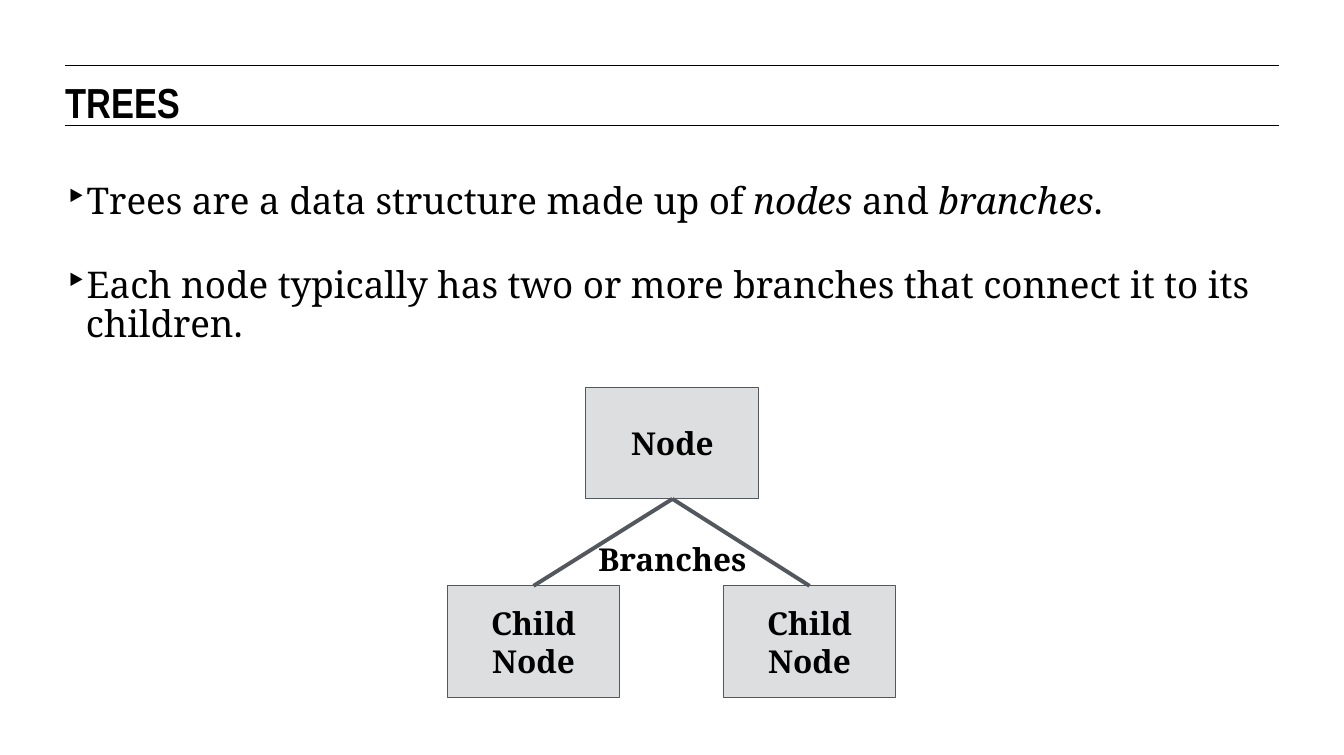
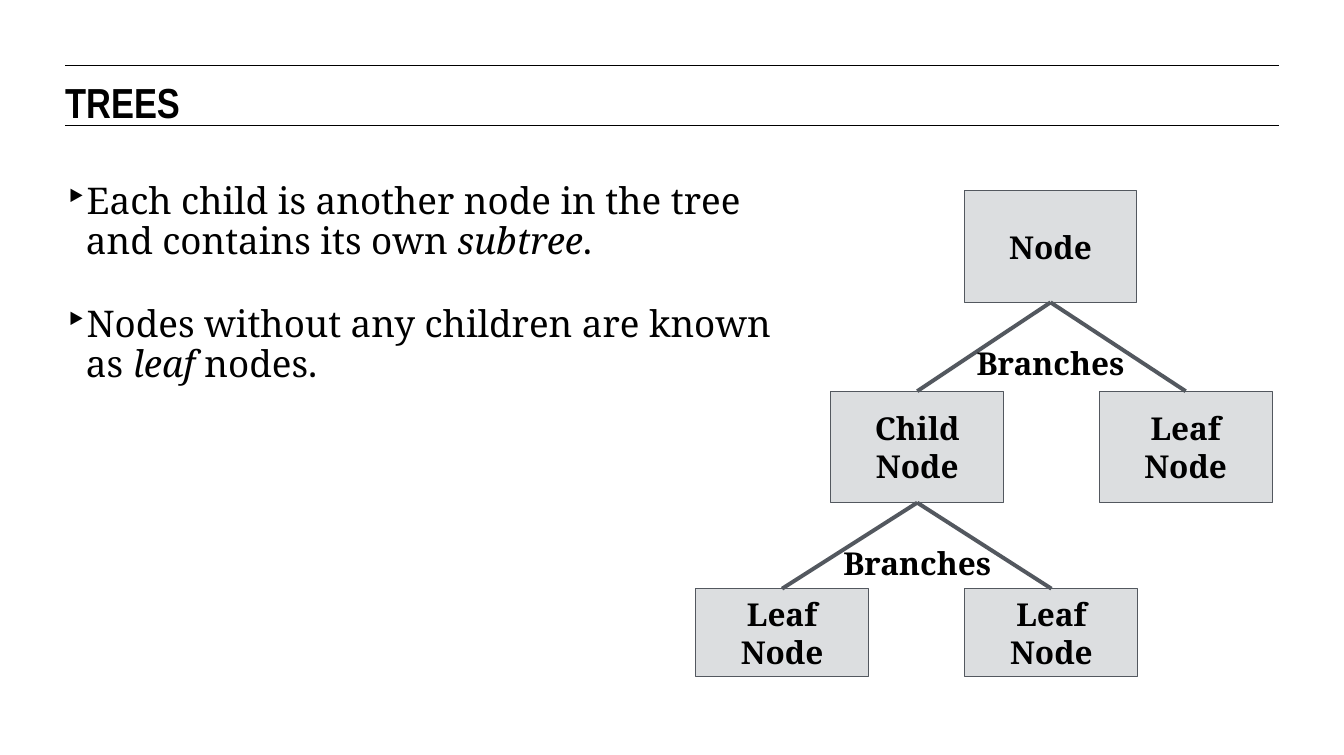
from lxml import etree
from pptx import Presentation
from pptx.dml.color import RGBColor
from pptx.enum import shapes, text
from pptx.oxml.ns import qn
from pptx.util import Inches, Pt

COLORS = {"ink": "000000", "node": "DCDEE0", "edge": "53585F"}
FORMATS = {
    "title": {"name": "Arial Narrow", "size": Pt(32), "bold": True},
    "body": {"name": "Noto Serif", "size": Pt(28), "bold": False},
    "node": {"name": "Noto Serif", "size": Pt(24), "bold": True},
}
LEFT, WIDTH = 0.69, 12.84
NODE_W, NODE_H = 1.83, 1.18


def rgb(name):
    return RGBColor.from_string(COLORS[name])


class Deck:
    def __init__(self, prs):
        self.prs = prs
        self.layout = prs.slide_layouts[5]
        self.slide = None

    def add_slide(self, title):
        self.slide = self.prs.slides.add_slide(self.layout)
        sp = self.slide.shapes.title
        sp.left, sp.top = Inches(LEFT), Inches(0.81)
        sp.width, sp.height = Inches(WIDTH), Inches(0.47)
        self.frame(sp.text_frame, 0, text.MSO_ANCHOR.TOP)
        self.paragraphs(sp.text_frame, [title], "title", text.PP_ALIGN.LEFT)

    def frame(self, tf, inset, anchor):
        values = {"word_wrap": True, "auto_size": text.MSO_AUTO_SIZE.NONE,
                  "vertical_anchor": anchor}
        for side in ("left", "top", "right", "bottom"):
            values["margin_" + side] = Inches(inset)
        for key, value in values.items():
            setattr(tf, key, value)

    def runs(self, p, content, style):
        for i, part in enumerate(content.split("*")):
            r = p.add_run()
            r.text = part
            for key, value in FORMATS[style].items():
                setattr(r.font, key, value)
            r.font.italic = i % 2 == 1
            r.font.color.rgb = rgb("ink")

    def paragraphs(self, tf, items, style, align):
        for i, item in enumerate(items):
            p = tf.paragraphs[0] if i == 0 else tf.add_paragraph()
            p.alignment = align
            self.runs(p, item, style)

    def textbox(self, left, top, width, height):
        return self.slide.shapes.add_textbox(*map(Inches, (left, top, width, height)))

    def line(self, start, end, color, weight):
        cxn = self.slide.shapes.add_connector(
            shapes.MSO_CONNECTOR.STRAIGHT, *map(Inches, (*start, *end)))
        cxn.line.color.rgb = rgb(color)
        cxn.line.width = Pt(weight)
        etree.SubElement(cxn.element.spPr, qn("a:effectLst"))
        return cxn

    def layout_rules(self, *tops):
        for y in tops:
            rule = self.line((LEFT, y), (LEFT + WIDTH, y), "ink", 0.75)
            self.layout.shapes.element.append(rule.element)

    def bullets(self, width, items):
        tf = self.textbox(LEFT, 1.94, width, 3.68).text_frame
        self.frame(tf, 0, text.MSO_ANCHOR.TOP)
        self.paragraphs(tf, items, "body", text.PP_ALIGN.LEFT)
        for p in tf.paragraphs:
            p.line_spacing = 0.89
            p.space_after = Pt(34)
            pPr = p._p.get_or_add_pPr()
            pPr.set("marL", str(Inches(0.22)))
            pPr.set("indent", str(Inches(-0.22)))
            etree.SubElement(pPr, qn("a:buChar"), char="\u2023")

    def node(self, label, left, top, height=NODE_H):
        sp = self.slide.shapes.add_shape(
            shapes.MSO_SHAPE.RECTANGLE, *map(Inches, (left, top, NODE_W, height)))
        sp.shadow.inherit = False
        sp.fill.solid()
        sp.fill.fore_color.rgb = rgb("node")
        sp.line.color.rgb = rgb("edge")
        sp.line.width = Pt(0.75)
        self.frame(sp.text_frame, 0.1, text.MSO_ANCHOR.MIDDLE)
        self.paragraphs(sp.text_frame, label.split("\n"), "node", text.PP_ALIGN.CENTER)
        return sp

    def branches(self, parent, *children):
        for child in children:
            cxn = self.line((0, 0), (1, 1), "edge", 3)
            cxn.begin_connect(parent, 2)
            cxn.end_connect(child, 0)
        top = parent.top.inches + parent.height.inches + 0.34
        sp = self.textbox(parent.left.inches, top, NODE_W, 0.47)
        self.frame(sp.text_frame, 0.1, text.MSO_ANCHOR.TOP)
        self.paragraphs(sp.text_frame, ["Branches"], "node", text.PP_ALIGN.CENTER)


prs = Presentation()
prs.slide_width, prs.slide_height = Inches(14.22), Inches(7.99)
deck = Deck(prs)

deck.add_slide("TREES")
deck.layout_rules(0.69, 1.33)
deck.bullets(WIDTH, [
    "Trees are a data structure made up of *nodes* and *branches*.",
    "Each node typically has two or more branches that connect it to its children.",
])
root = deck.node("Node", 6.2, 4.1)
children = [deck.node("Child\nNode", left, 6.2) for left in (4.73, 7.65)]
deck.branches(root, *children)

deck.add_slide("TREES")
deck.bullets(7.67, [
    "Each child is another node in the tree and contains its own *subtree*.",
    "Nodes without any children are known as *leaf* nodes.",
])
root = deck.node("Node", 10.2, 2.02)
child = deck.node("Child\nNode", 8.79, 4.14)
leaf = deck.node("Leaf Node", 11.63, 4.14)
deck.branches(root, child, leaf)
leaves = [deck.node("Leaf Node", left, 6.23, 0.93) for left in (7.36, 10.21)]
deck.branches(child, *leaves)

prs.save("out.pptx")
